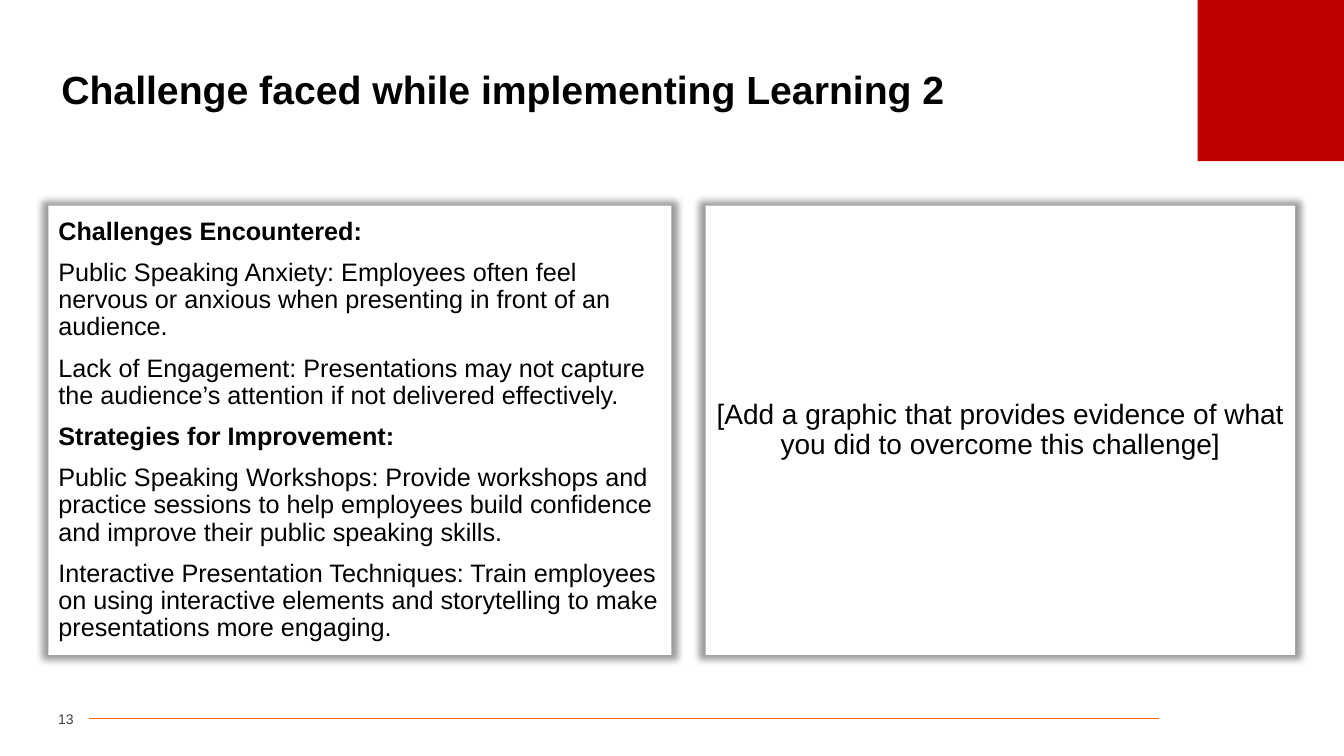
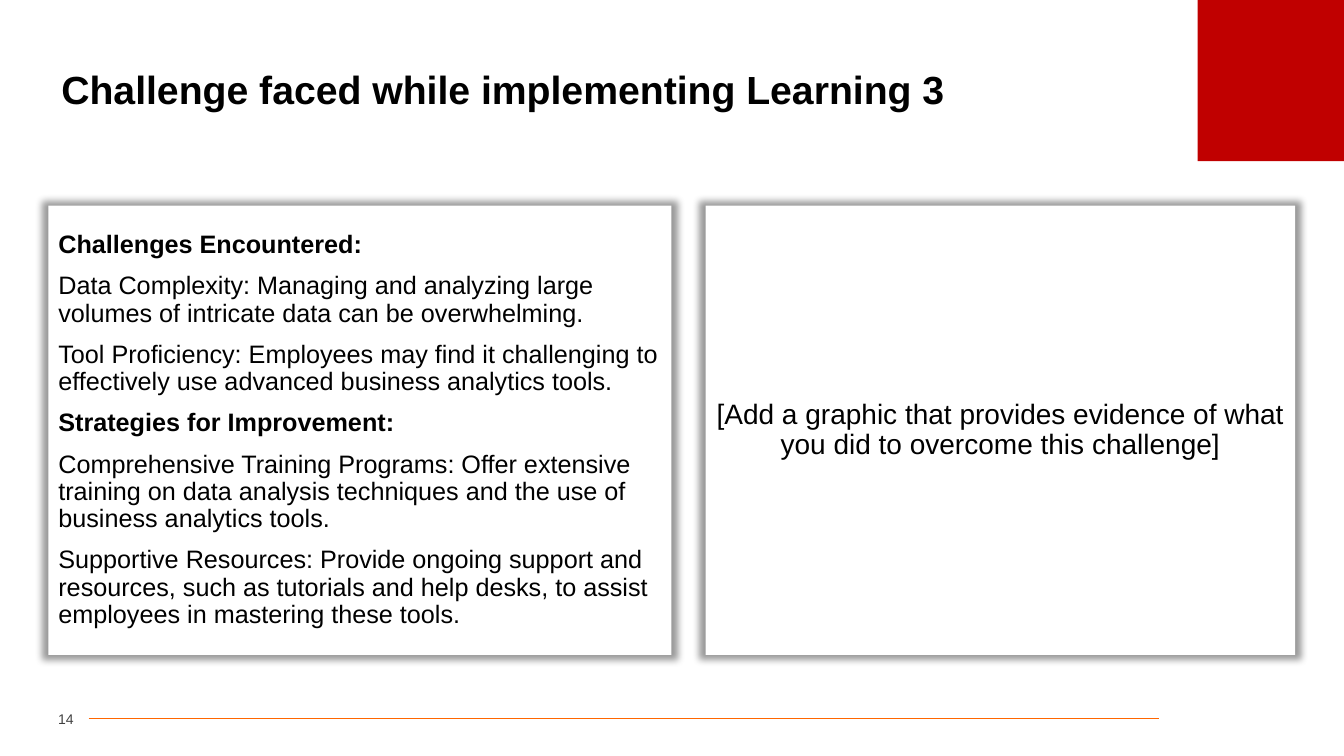
import pptx
import pptx.util
import pptx.dml.color
import pptx.enum.shapes
import pptx.enum.text
import pptx.oxml
import pptx.oxml.ns

Pt = pptx.util.Pt
Align = pptx.enum.text.PP_ALIGN
COLORS = {"ink": "000000", "paper": "FFFFFF", "red": "C00000",
          "rule": "FF6600", "gray": "404040"}
FONT = "Arial"
HEADS = ("Challenges Encountered:", "Strategies for Improvement:")
PROMPT = "[Add a graphic that provides evidence of what you did to overcome this challenge]"
TOPICS = [
    (13, "Challenge faced while implementing Learning 2", [
        HEADS[0],
        "Public Speaking Anxiety: Employees often feel nervous or anxious when presenting in front of an audience.",
        "Lack of Engagement: Presentations may not capture the audience’s attention if not delivered effectively.",
        HEADS[1],
        "Public Speaking Workshops: Provide workshops and practice sessions to help employees build confidence and improve their public speaking skills.",
        "Interactive Presentation Techniques: Train employees on using interactive elements and storytelling to make presentations more engaging.",
    ]),
    (14, "Challenge faced while implementing Learning 3", [
        HEADS[0],
        "Data Complexity: Managing and analyzing large volumes of intricate data can be overwhelming.",
        "Tool Proficiency: Employees may find it challenging to effectively use advanced business analytics tools.",
        HEADS[1],
        "Comprehensive Training Programs: Offer extensive training on data analysis techniques and the use of business analytics tools.",
        "Supportive Resources: Provide ongoing support and resources, such as tutorials and help desks, to assist employees in mastering these tools.",
    ]),
]
SHADE = (
    '<a:effectLst %s><a:outerShdw blurRad="%d" sx="102000" sy="102000" algn="ctr" rotWithShape="0">'
    '<a:srgbClr val="%s"><a:alpha val="40000"/></a:srgbClr></a:outerShdw></a:effectLst>'
)


def rgb(name):
    return pptx.dml.color.RGBColor.from_string(COLORS[name])


def place(box):
    return [Pt(n) for n in box]


def write(shape, lines, size, color="ink", bold=(), align=Align.LEFT, lead=0.9, before=0):
    frame = shape.text_frame
    frame.word_wrap = True
    frame.vertical_anchor = pptx.enum.text.MSO_ANCHOR.MIDDLE
    frame.text = "\n".join(lines)
    for para in frame.paragraphs:
        para.alignment = align
        para.line_spacing = lead
        para.space_before = Pt(before)
        for run in para.runs:
            run.font.name = FONT
            run.font.size = Pt(size)
            run.font.bold = run.text in bold
            run.font.color.rgb = rgb(color)


def block(slide, box, fill):
    shape = slide.shapes.add_shape(pptx.enum.shapes.MSO_SHAPE.RECTANGLE, *place(box))
    shape.shadow.inherit = False
    shape.fill.solid()
    shape.fill.fore_color.rgb = rgb(fill)
    shape.line.fill.background()
    return shape


def panel(slide, box, lines, size, **style):
    shape = block(slide, box, "paper")
    props = shape._element.spPr
    props.remove(props.find(pptx.oxml.ns.qn("a:effectLst")))
    props.append(pptx.oxml.parse_xml(
        SHADE % (pptx.oxml.ns.nsdecls("a"), Pt(5), COLORS["ink"])))
    write(shape, lines, size, before=10, **style)


def header(slide, box, title):
    left, top, width, height = box
    block(slide, (left + width - 104.6, top, 104.6, height), "red")
    text = slide.shapes.add_textbox(*place((left + 36.7, top + 37.4, 886.3, 56.2)))
    write(text, [title], 28, bold=(title,))


def footer(slide, box, number):
    left, top, width, height = box
    mid = top + height / 2
    rule = slide.shapes.add_connector(
        pptx.enum.shapes.MSO_CONNECTOR.STRAIGHT,
        *place((left + 39.6, mid, left + width, mid)))
    rule.line.color.rgb = rgb("rule")
    rule.line.width = Pt(0.5)
    rule._element.spPr.append(pptx.oxml.parse_xml(
        "<a:effectLst %s/>" % pptx.oxml.ns.nsdecls("a")))
    text = slide.shapes.add_textbox(*place((left, top, 28.8, height)))
    text.text_frame.margin_left = text.text_frame.margin_right = 0
    write(text, [str(number)], 10, "gray", align=Align.RIGHT, lead=1)


def body(slide, box, lines):
    left, top, width, height = box
    first, gap = 445, 24.4
    panel(slide, (left, top, first, height), lines, 18, bold=HEADS)
    panel(slide, (left + first + gap, top, width - first - gap, height),
          [PROMPT], 20, align=Align.CENTER)


def build(deck, number, title, lines):
    slide = deck.slides.add_slide(deck.slide_layouts[6])
    slide.background.fill.solid()
    slide.background.fill.fore_color.rgb = rgb("paper")
    header(slide, (0, 0, 960, 115.2), title)
    footer(slide, (23.8, 503, 804.2, 20.9), number)
    body(slide, (34.6, 146.9, 890.6, 321), lines)


def main():
    deck = pptx.Presentation()
    deck.slide_width, deck.slide_height = Pt(960), Pt(540)
    for topic in TOPICS:
        build(deck, *topic)
    deck.save("out.pptx")


if __name__ == "__main__":
    main()
